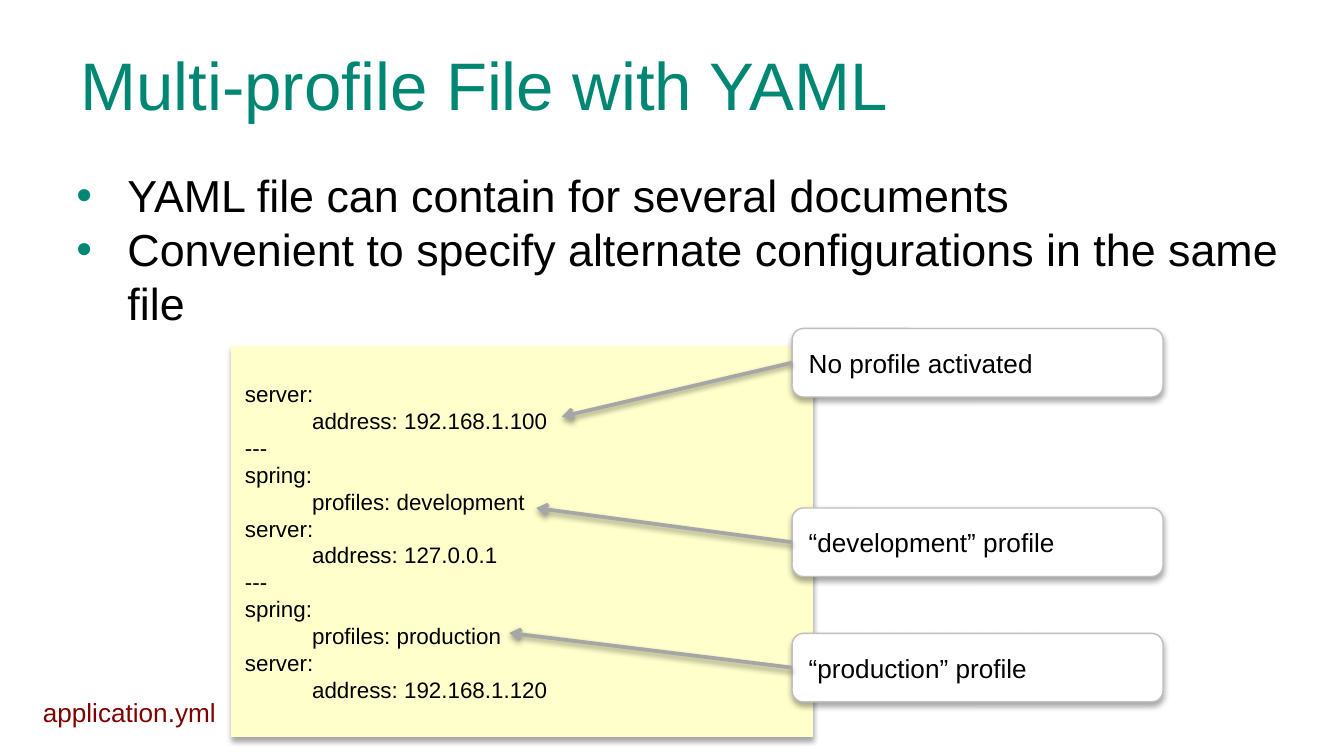
from lxml.etree import SubElement
from pptx import Presentation
from pptx.dml.color import RGBColor
from pptx.enum.shapes import MSO_CONNECTOR, MSO_SHAPE
from pptx.enum.text import MSO_ANCHOR, PP_ALIGN
from pptx.oxml.ns import qn
from pptx.util import Inches, Pt

COLS, ROWS = 100, 56.25  # the slide as a grid of square cells
CELL = Inches(0.1)
LINE_HEIGHT = 1.2
FONT = "Arial"
COLORS = {
    "accent": "008774",
    "text": "000000",
    "note": "FFFFCC",
    "callout": "FFFFFF",
    "border": "BFBFBF",
    "arrow": "A6A6A6",
    "file": "800000",
}

BULLETS = [
    "YAML file can contain for several documents",
    "Convenient to specify alternate configurations in the same file",
]
# (indent level, text)
YAML_LINES = [
    (0, "server:"),
    (1, "address: 192.168.1.100"),
    (0, "---"),
    (0, "spring:"),
    (1, "profiles: development"),
    (0, "server:"),
    (1, "address: 127.0.0.1"),
    (0, "---"),
    (0, "spring:"),
    (1, "profiles: production"),
    (0, "server:"),
    (1, "address: 192.168.1.120"),
]
CALLOUT_LEFT, CALLOUT_WIDTH, CALLOUT_HEIGHT = 58.94, 27.6, 5.1
# (text, top row, arrow tip)
CALLOUTS = [
    ("No profile activated", 24.44, (41.8, 31)),
    ("“development” profile", 37.8, (39.9, 37.8)),
    ("“production” profile", 47.13, (37.9, 47.1)),
]


def grid(*cells):
    return [round(n * CELL) for n in cells]


def rgb(name):
    return RGBColor.from_string(COLORS[name])


def write(tf, lines, size, color):
    """Fill a text frame with one left-aligned paragraph per line."""
    tf.text = "\n".join(lines)
    for p in tf.paragraphs:
        p.alignment = PP_ALIGN.LEFT
        p.line_spacing = Pt(size * LINE_HEIGHT)
        for r in p.runs:
            r.font.name = FONT
            r.font.size = Pt(size)
            r.font.color.rgb = rgb(color)


def indent(p, left, first=0):
    pPr = p._p.get_or_add_pPr()
    pPr.set("marL", str(left))
    pPr.set("indent", str(first))


def add_bullet(p):
    indent(p, Inches(0.38), -Inches(0.38))
    pPr = p._p.get_or_add_pPr()
    SubElement(SubElement(pPr, qn("a:buClr")), qn("a:srgbClr"), val=COLORS["accent"])
    SubElement(pPr, qn("a:buFont"), typeface=FONT)
    SubElement(pPr, qn("a:buChar"), char="•")


def add_shadow(sp, distance, opacity):
    """Replace the theme effect with a soft shadow straight below."""
    effects = SubElement(sp._element.spPr, qn("a:effectLst"))
    shadow = SubElement(
        effects, qn("a:outerShdw"), blurRad=str(Pt(3.1)),
        dist=str(Pt(distance)), dir="5400000", rotWithShape="0",
    )
    color = SubElement(shadow, qn("a:srgbClr"), val="000000")
    SubElement(color, qn("a:alpha"), val=str(opacity * 1000))


def add_text(slide, cells, lines, size, color, inset=0.1, wrap=True):
    tf = slide.shapes.add_textbox(*grid(*cells)).text_frame
    tf.word_wrap = wrap
    tf.margin_top = tf.margin_bottom = Inches(inset)
    write(tf, lines, size, color)
    return tf


def add_box(slide, kind, cells, lines, size, fill, border):
    sp = slide.shapes.add_shape(kind, *grid(*cells))
    sp.fill.solid()
    sp.fill.fore_color.rgb = rgb(fill)
    sp.line.color.rgb = rgb(border)
    sp.line.width = Pt(0.75)
    add_shadow(sp, 1.8, 35)
    tf = sp.text_frame
    tf.word_wrap = True
    tf.vertical_anchor = MSO_ANCHOR.MIDDLE
    write(tf, lines, size, "text")
    return tf


def add_arrow(slide, start, tip):
    line = slide.shapes.add_connector(MSO_CONNECTOR.STRAIGHT, *grid(*start, *tip))
    line.line.color.rgb = rgb("arrow")
    line.line.width = Pt(2)
    SubElement(line.line._get_or_add_ln(), qn("a:tailEnd"), type="arrow")
    add_shadow(line, 1.6, 38)


def main():
    prs = Presentation()
    prs.slide_width, prs.slide_height = grid(COLS, ROWS)
    slide = prs.slides.add_slide(prs.slide_layouts[6])

    add_text(slide, (5, 2.25, 90, 9.4), ["Multi-profile File with YAML"], 36, "accent")
    body = add_text(slide, (4.7, 11.5, 93.5, 37.4), BULLETS, 24, "text")
    for p in body.paragraphs:
        add_bullet(p)

    code = add_box(slide, MSO_SHAPE.RECTANGLE, (17.24, 25.8, 43.2, 29),
                   [text for _, text in YAML_LINES], 12, "note", "note")
    for p, (level, _) in zip(code.paragraphs, YAML_LINES):
        indent(p, level * Inches(0.5))

    for text, top, _ in CALLOUTS:
        add_box(slide, MSO_SHAPE.ROUNDED_RECTANGLE,
                (CALLOUT_LEFT, top, CALLOUT_WIDTH, CALLOUT_HEIGHT),
                [text], 14, "callout", "border")
    for _, top, tip in CALLOUTS:
        add_arrow(slide, (CALLOUT_LEFT, top + CALLOUT_HEIGHT / 2), tip)

    add_text(slide, (2.2, 51.34, 15, 3.4), ["application.yml"], 14, "file",
             inset=0.05, wrap=False)
    prs.save("out.pptx")


if __name__ == "__main__":
    main()
